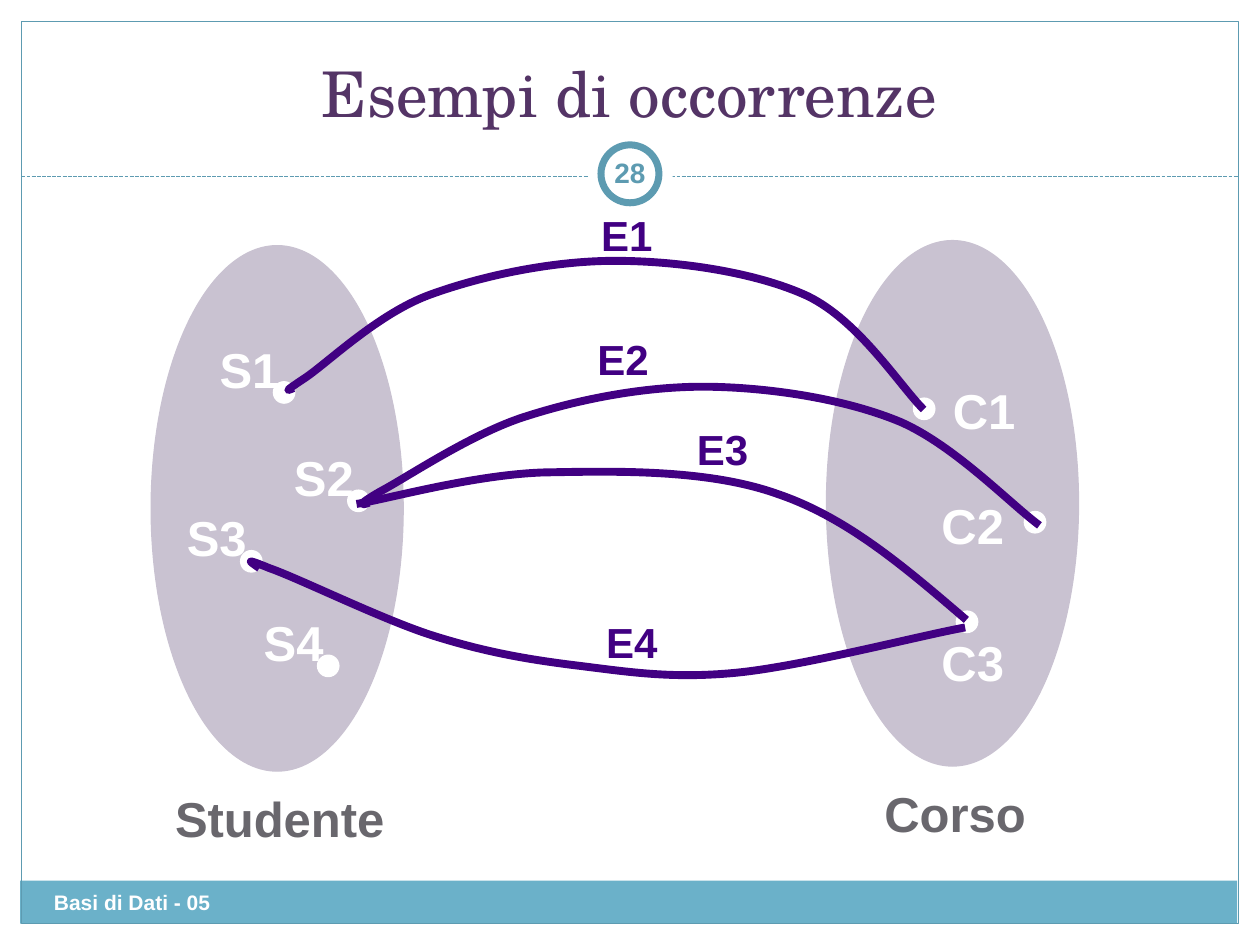
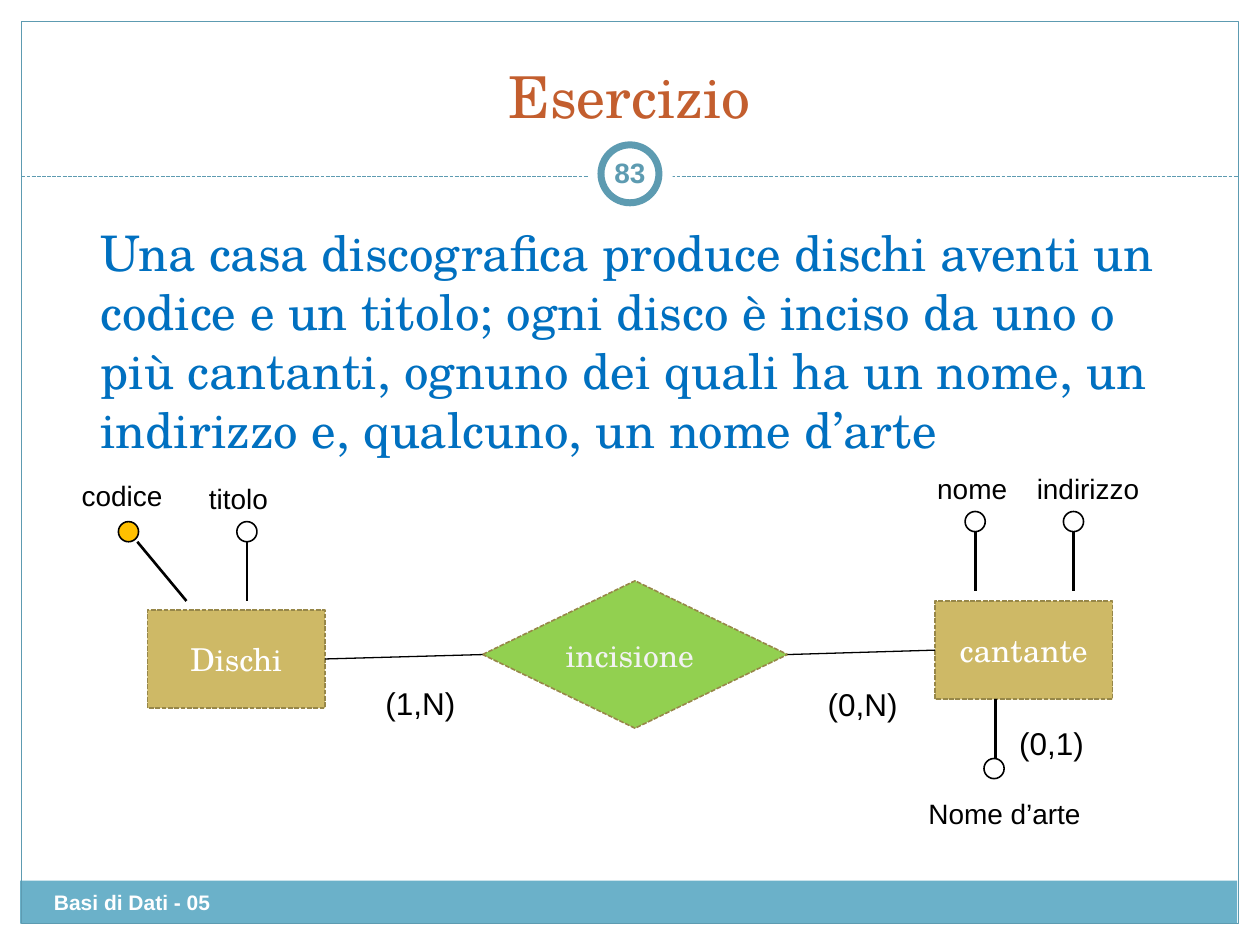
from lxml import etree
from pptx import Presentation
from pptx.dml.color import RGBColor
from pptx.enum.dml import MSO_LINE
from pptx.enum.shapes import MSO_CONNECTOR, MSO_SHAPE
from pptx.enum.text import MSO_ANCHOR, MSO_AUTO_SIZE, PP_ALIGN
from pptx.oxml.ns import qn
from pptx.util import Inches, Pt

RECTANGLE, OVAL, DIAMOND = MSO_SHAPE.RECTANGLE, MSO_SHAPE.OVAL, MSO_SHAPE.DIAMOND
STRAIGHT = MSO_CONNECTOR.STRAIGHT
DASHED = MSO_LINE.SQUARE_DOT
LEFT, CENTER = PP_ALIGN.LEFT, PP_ALIGN.CENTER
TOP, MIDDLE, BOTTOM = MSO_ANCHOR.TOP, MSO_ANCHOR.MIDDLE, MSO_ANCHOR.BOTTOM
NO_AUTOFIT = MSO_AUTO_SIZE.NONE
TITLE_ONLY = 5

SANS, SERIF = "Arial", "TeX Gyre Schola"
WHITE, BLACK = "FFFFFF", "000000"
TEAL, BAND = "5D9BB1", "6BB1C9"
LILAC, INDIGO, GREY = "C9C2D1", "410082", "69676D"
SAND, SAND_EDGE, GREEN, AMBER = "CEB966", "978749", "92D050", "FFC000"
DOT, ATTRIBUTE_DOT = 0.17, 0.16


def rgb(hex_color):
    """Turn a hex string into a colour."""
    return RGBColor.from_string(hex_color)


def set_line(line, color, width, dash=None):
    """Format an outline or a connector line."""
    line.color.rgb = rgb(color)
    line.width = Pt(width)
    if dash:
        line.dash_style = dash


def add_figure(shapes, kind, box, fill=None, edge=None, width=0.75, dash=None):
    """Add a preset shape with a plain fill and outline."""
    figure = shapes.add_shape(kind, *map(Inches, box))
    figure.shadow.inherit = False
    if fill:
        figure.fill.solid()
        figure.fill.fore_color.rgb = rgb(fill)
    else:
        figure.fill.background()
    if edge:
        set_line(figure.line, edge, width, dash)
    else:
        figure.line.fill.background()
    return figure


def add_line(shapes, start, end, color, width, dash=None):
    """Add a straight connector without a shadow."""
    line = shapes.add_connector(STRAIGHT, *map(Inches, (*start, *end)))
    set_line(line.line, color, width, dash)
    etree.SubElement(line._element.spPr, qn("a:effectLst"))
    return line


def write(frame, text, size, color, font=SANS, bold=False, align=LEFT, anchor=TOP, wrap=True):
    """Fill a text frame with one formatted paragraph."""
    frame.auto_size = NO_AUTOFIT
    frame.word_wrap = wrap
    frame.vertical_anchor = anchor
    paragraph = frame.paragraphs[0]
    paragraph.text = text
    paragraph.alignment = align
    paragraph.font.name = font
    paragraph.font.size = Pt(size)
    paragraph.font.bold = bold
    paragraph.font.color.rgb = rgb(color)


def add_text(shapes, box, text, size, color, **style):
    """Add a text box and return its frame."""
    frame = shapes.add_textbox(*map(Inches, box)).text_frame
    write(frame, text, size, color, **style)
    return frame


def add_centered(shapes, box, text, size, color):
    """Add a bold one-line label centred in its box."""
    add_text(shapes, box, text, size, color, bold=True, align=CENTER, anchor=MIDDLE, wrap=False)


def add_themed_slide(prs, title, title_size, title_color, number):
    """Add a slide with the common frame, title, page number and footer."""
    slide = prs.slides.add_slide(prs.slide_layouts[TITLE_ONLY])
    shapes = slide.shapes
    heading = shapes.title
    heading.left, heading.top, heading.width, heading.height = map(Inches, (0.33, 0.25, 9.33, 0.83))
    write(heading.text_frame, title, title_size, title_color, SERIF, align=CENTER, anchor=BOTTOM)
    add_figure(shapes, RECTANGLE, (0.16, 6.99, 9.66, 0.34), BAND)
    add_figure(shapes, RECTANGLE, (0.17, 0.17, 9.66, 7.16), edge=TEAL)
    add_line(shapes, (0.17, 1.4), (9.83, 1.4), TEAL, 0.75, DASHED)
    add_figure(shapes, OVAL, (4.67, 1.05, 0.67, 0.67), WHITE)
    add_figure(shapes, OVAL, (4.77, 1.15, 0.46, 0.46), WHITE, TEAL, 4)
    add_text(shapes, (0.33, 7.01, 3.92, 0.4), "Basi di Dati - 05", 12, WHITE, bold=True)
    page = add_text(shapes, (4.75, 1.13, 0.5, 0.48), number, 16, TEAL,
                    bold=True, align=CENTER, anchor=MIDDLE)
    page.margin_left = page.margin_right = Inches(0.05)
    return slide


def add_entity_set(slide, left, top, name, members):
    """Draw an oval set with its member dots, their labels and a caption."""
    shapes = slide.shapes.add_group_shape().shapes
    add_figure(shapes, OVAL, (left, top, 2, 4.17), LILAC, LILAC)
    for label, dot_x, dot_y, shift_x, shift_y in members:
        x, y = left + dot_x, top + dot_y
        add_figure(shapes, OVAL, (x, y, DOT, DOT), WHITE, WHITE)
        add_centered(shapes, (x + shift_x, y + shift_y, 0.68, 0.57), label, 28, WHITE)
    add_centered(shapes, (left + 0.02, top + 4.26, 2, 0.57), name, 28, GREY)


def add_occurrence(slide, left, top, label, label_x, label_y, points):
    """Draw a labelled Bézier curve: a start, then three points per segment."""
    shapes = slide.shapes.add_group_shape().shapes
    (start_x, start_y), *controls = [(left + x, top + y) for x, y in points]
    builder = shapes.build_freeform(Inches(start_x), Inches(start_y))
    builder.add_line_segments([(Inches(x), Inches(y)) for x, y in controls], close=False)
    curve = builder.convert_to_shape()
    steps = curve._element.xpath(".//a:lnTo")
    for first in range(0, len(steps), 3):
        segment = etree.Element(qn("a:cubicBezTo"))
        steps[first].addprevious(segment)
        for step in steps[first:first + 3]:
            segment.append(step[0])
            step.getparent().remove(step)
    curve.shadow.inherit = False
    curve.fill.background()
    set_line(curve.line, INDIGO, 4.5)
    add_centered(shapes, (left + label_x, top + label_y, 0.61, 0.5), label, 24, INDIGO)


def add_occurrence_diagram(slide, left, top):
    """Draw the two entity sets and the occurrences linking them."""
    students = [(name, x, y, -0.53, -0.39) for name, x, y in (
        ("S1", 0.97, 1.08), ("S2", 1.56, 1.94), ("S4", 1.32, 3.25), ("S3", 0.71, 2.42))]
    courses = [("C1", 0.69, 1.25, 0.22, -0.19),
               ("C2", 1.57, 2.15, -0.75, -0.18),
               ("C3", 1.03, 2.94, -0.21, 0.12)]
    add_entity_set(slide, left + 0.2, top + 0.95, "Studente", students)
    add_entity_set(slide, left + 5.56, top + 0.91, "Corso", courses)
    occurrences = [
        ("E1", 3.67, 0.61, [
            (1.33, 2.08), (1.28, 2.1), (1.24, 2.12), (1.42, 2), (1.6, 1.88), (2, 1.49),
            (2.41, 1.34), (2.82, 1.19), (3.38, 1.07), (3.88, 1.07), (4.38, 1.07), (5, 1.16),
            (5.41, 1.35), (5.82, 1.55), (6.14, 2.06), (6.33, 2.25)]),
        ("E2", 3.64, 1.6, [
            (1.93, 2.99), (1.88, 3.01), (1.81, 3.02), (2.02, 2.9), (2.23, 2.79), (2.76, 2.43),
            (3.19, 2.3), (3.63, 2.16), (4.16, 2.06), (4.65, 2.07), (5.14, 2.08), (5.72, 2.17),
            (6.15, 2.35), (6.58, 2.54), (7.02, 3), (7.25, 3.17)]),
        ("E3", 4.43, 2.31, [
            (1.83, 3), (2.08, 2.96), (2.75, 2.77), (3.31, 2.75), (3.86, 2.74), (4.61, 2.72),
            (5.17, 2.92), (5.73, 3.11), (6.19, 3.51), (6.67, 3.92)]),
        ("E4", 3.71, 3.84, [
            (1.06, 3.51), (0.99, 3.46), (0.92, 3.42), (1.14, 3.51), (1.37, 3.59), (2.02, 3.91),
            (2.42, 4.04), (2.83, 4.17), (3.16, 4.23), (3.56, 4.28), (3.97, 4.33), (4.32, 4.39),
            (4.84, 4.34), (5.36, 4.29), (6.28, 4.05), (6.66, 3.98)]),
    ]
    for occurrence in occurrences:
        add_occurrence(slide, left, top, *occurrence)


def add_entity(slide, left, top, name):
    """Draw an entity rectangle with its name."""
    entity = add_figure(slide.shapes, RECTANGLE, (left, top, 1.41, 0.78),
                        SAND, SAND_EDGE, 0.91, DASHED)
    write(entity.text_frame, name, 18, WHITE, SERIF, align=CENTER, anchor=MIDDLE)
    return entity


def add_attribute(slide, left, top, name, label, stem, fill=WHITE):
    """Draw an attribute dot, its stem and its name around the dot's corner."""
    shapes = slide.shapes
    start_x, start_y, end_x, end_y = stem
    add_line(shapes, (left + start_x, top + start_y), (left + end_x, top + end_y), BLACK, 1.5)
    add_figure(shapes, OVAL, (left, top, ATTRIBUTE_DOT, ATTRIBUTE_DOT), fill, BLACK, 0.91)
    label_x, label_y, label_width = label
    add_text(shapes, (left + label_x, top + label_y, label_width, 0.37), name, 16, BLACK)


def add_er_diagram(slide, left, top):
    """Draw two entities, their relationship, attributes and cardinalities."""
    shapes = slide.shapes
    records = add_entity(slide, left + 0.67, top + 1.34, "Dischi")
    recording = add_figure(shapes, DIAMOND, (left + 3.33, top + 1.11, 2.42, 1.17),
                           GREEN, SAND_EDGE, 0.91, DASHED)
    add_text(shapes, (left + 3.89, top + 1.5, 1.27, 0.4), "incisione", 18, "F2F2F2",
             font=SERIF, wrap=False)
    singer = add_entity(slide, left + 6.92, top + 1.27, "cantante")
    for source, target in ((records, recording), (recording, singer)):
        link = add_line(shapes, (left, top), (left, top), BLACK, 0.75)
        link.begin_connect(source, 3)
        link.end_connect(target, 1)

    down, slanted, up = (0.08, 0.16, 0.08, 0.63), (0.15, 0.16, 0.54, 0.63), (0.09, 0, 0.09, -0.47)
    above = (-0.32, -0.37, 0.86)
    attributes = [
        (0.44, 0.64, "codice", (-0.39, -0.39, 0.86), slanted, AMBER),
        (1.38, 0.64, "titolo", above, down),
        (7.16, 0.56, "nome", above, down),
        (7.94, 0.56, "indirizzo", (-0.31, -0.37, 1.25), down),
        (7.31, 2.52, "Nome d’arte", (-0.54, 0.25, 1.48), up),
    ]
    for x, y, *details in attributes:
        add_attribute(slide, left + x, top + y, *details)

    cardinalities = [("(1,N)", 2.46, 1.88, 0.75), ("(0,N)", 5.97, 1.89, 0.75),
                     ("(0,1)", 7.49, 2.2, 0.71)]
    for cardinality, x, y, width in cardinalities:
        add_text(shapes, (left + x, top + y, width, 0.4), cardinality, 18, BLACK, wrap=False)


def add_exercise_text(slide, box):
    """Write the text of the exercise."""
    add_text(slide.shapes, box,
             "Una casa discografica produce dischi aventi un codice e un titolo; "
             "ogni disco è inciso da uno o più cantanti, ognuno dei quali ha un nome, "
             "un indirizzo e, qualcuno, un nome d’arte", 28, "0070C0", font=SERIF)


def main():
    """Build and save the presentation."""
    prs = Presentation()
    prs.slide_width, prs.slide_height = Inches(10), Inches(7.5)
    occurrences = add_themed_slide(prs, "Esempi di occorrenze", 36, "543466", "28")
    add_occurrence_diagram(occurrences, 1, 1)
    exercise = add_themed_slide(prs, "Esercizio", 33, "C35E2E", "83")
    add_exercise_text(exercise, (0.7, 1.72, 8.91, 1.97))
    add_er_diagram(exercise, 0.5, 3.5)
    prs.save("out.pptx")


if __name__ == "__main__":
    main()
